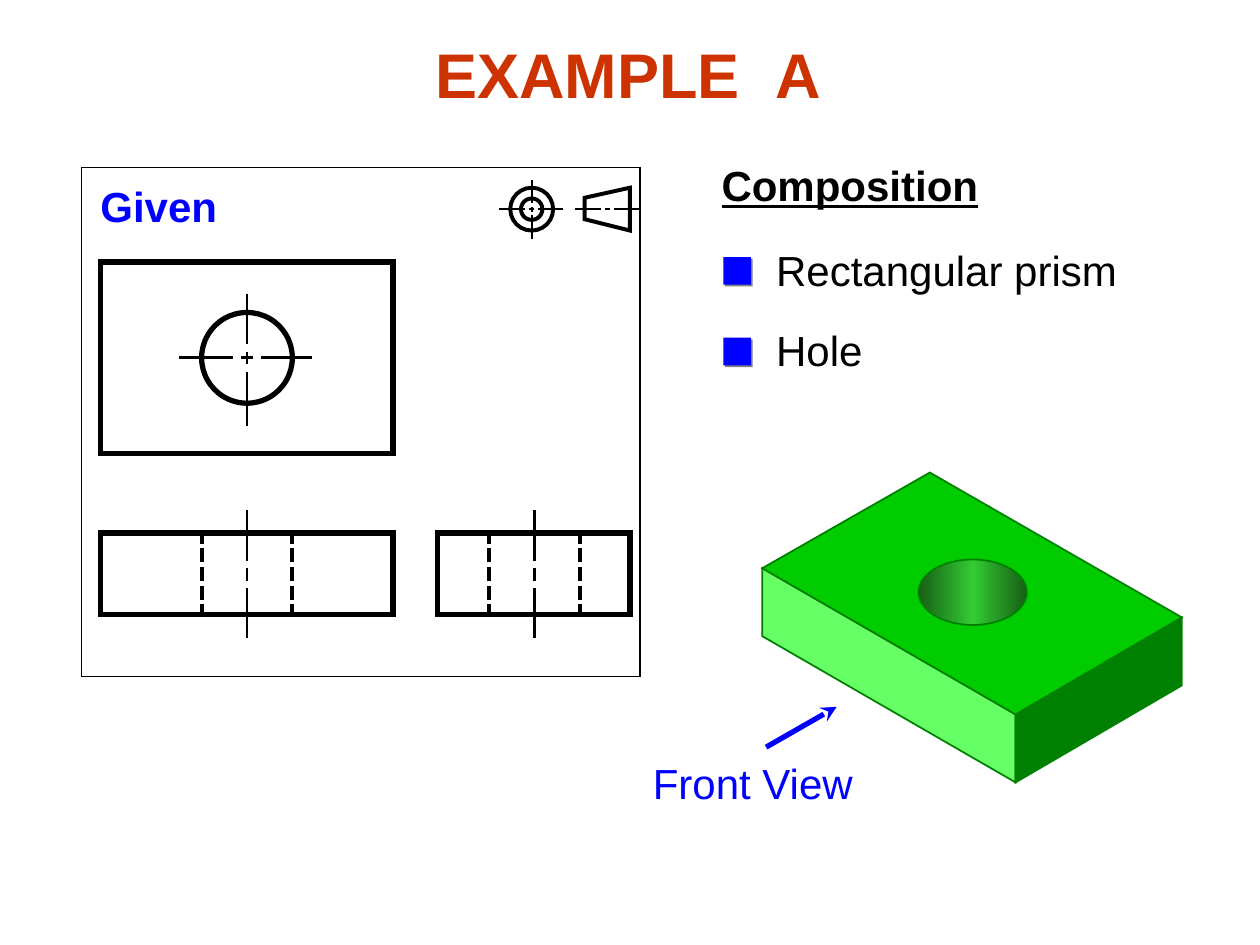
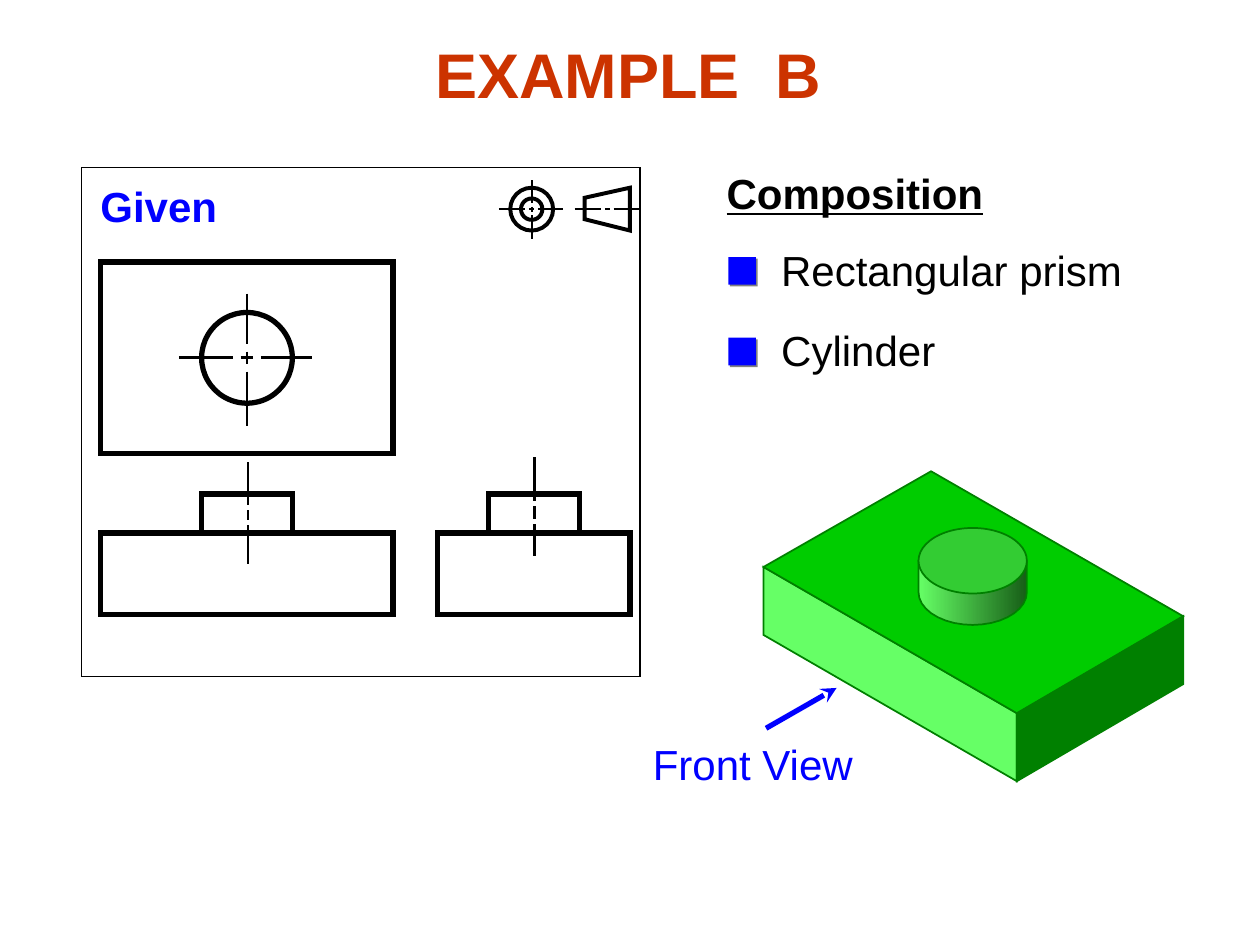
"""Build two slides that compare orthographic views with pictorial solids."""
import dataclasses
import math

import lxml.etree
import pptx
import pptx.dml.color
import pptx.enum.shapes
import pptx.enum.text
import pptx.oxml.ns
import pptx.util

Inches = pptx.util.Inches
Pt = pptx.util.Pt
qn = pptx.oxml.ns.qn
Shape = pptx.enum.shapes.MSO_SHAPE
Align = pptx.enum.text.PP_ALIGN


@dataclasses.dataclass(frozen=True)
class Theme:
    """Colours, type sizes and line weights shared by the slides."""
    font: str = "Arial"
    title_size: int = 36
    text_size: int = 24
    title: str = "CC3300"
    ink: str = "000000"
    accent: str = "0000FF"
    shadow: str = "808080"
    edge: str = "008000"
    top_face: str = "00CC00"
    front_face: str = "66FF66"
    side_face: str = "008000"
    round_mid: str = "33CC33"
    round_dark: str = "175E17"
    frame: float = 0.75
    fine: float = 1
    center: float = 1.5
    hidden: float = 2.25
    outline: float = 3


THEME = Theme()
TOP_VIEW = (0.8, 2.08, 2.32, 1.52)
FRONT_VIEW = (0.8, 4.23, 2.32, 0.65)
SIDE_VIEW = (3.47, 4.23, 1.53, 0.65)
FRONT_AXIS, SIDE_AXIS, TOP_AXIS = 1.96, 4.24, 2.84
RADIUS = 0.36
HIDDEN_DASHES = [(4.22, 4.32), (4.35, 4.46), (4.5, 4.61), (4.65, 4.76), (4.79, 4.89)]


def rgb(color):
    """Return a colour object for a hex string."""
    return pptx.dml.color.RGBColor.from_string(color)


def paint(shape, fill=None, line=None, weight=1):
    """Set the fill and outline of a shape and drop its shadow."""
    shape.shadow.inherit = False
    if fill:
        shape.fill.solid()
        shape.fill.fore_color.rgb = rgb(fill)
    else:
        shape.fill.background()
    if line:
        shape.line.color.rgb = rgb(line)
        shape.line.width = Pt(weight)
        outline = shape._element.spPr.find(qn("a:ln"))
        lxml.etree.SubElement(outline, qn("a:miter"), lim="800000")
    else:
        shape.line.fill.background()
    return shape


def shade(shape, colors):
    """Fill a shape with evenly spaced colours from left to right."""
    shape.fill.gradient()
    shape.fill.gradient_angle = 0
    stops = next(shape._element.spPr.iter(qn("a:gsLst")))
    for stop in list(stops):
        stops.remove(stop)
    for index, color in enumerate(colors):
        position = str(100000 * index // (len(colors) - 1))
        stop = lxml.etree.SubElement(stops, qn("a:gs"), pos=position)
        lxml.etree.SubElement(stop, qn("a:srgbClr"), val=color)


def preset(slide, kind, box, fill=None, line=THEME.ink, weight=THEME.outline):
    """Add a preset shape in a box given in inches."""
    shape = slide.shapes.add_shape(kind, *map(Inches, box))
    return paint(shape, fill, line, weight)


def polygon(slide, points, fill=None, line=THEME.edge, weight=THEME.fine):
    """Add a closed outline through points given in inches."""
    corners = [(Inches(x), Inches(y)) for x, y in points]
    builder = slide.shapes.build_freeform(*corners[0])
    builder.add_line_segments(corners[1:], close=True)
    return paint(builder.convert_to_shape(), fill, line, weight)


def segment(slide, start, end, weight, color=THEME.ink):
    """Add a straight line without a shadow."""
    line = slide.shapes.add_connector(
        pptx.enum.shapes.MSO_CONNECTOR.STRAIGHT, *map(Inches, (*start, *end)))
    line.line.color.rgb = rgb(color)
    line.line.width = Pt(weight)
    lxml.etree.SubElement(line._element.spPr, qn("a:effectLst"))
    return line


def vertical(slide, x, spans, weight=THEME.center):
    """Draw a broken vertical line."""
    for top, bottom in spans:
        segment(slide, (x, top), (x, bottom), weight)


def horizontal(slide, y, spans, weight=THEME.center):
    """Draw a broken horizontal line."""
    for left, right in spans:
        segment(slide, (left, y), (right, y), weight)


def center_spans(start, middle, end, tick=0.05, gap=0.11):
    """Return the long, short and long dashes of a centre line."""
    return [(start, middle - gap), (middle - tick, middle + tick), (middle + gap, end)]


def label(slide, text, box, color=THEME.ink, size=THEME.text_size, bold=False,
          underline=False, align=Align.CENTER):
    """Add one line of text and return its paragraph."""
    frame = slide.shapes.add_textbox(*map(Inches, box)).text_frame
    frame.word_wrap = True
    frame.margin_left = frame.margin_right = 0
    paragraph = frame.paragraphs[0]
    paragraph.add_run().text = text
    paragraph.alignment = align
    font = paragraph.font
    font.name, font.size, font.bold, font.underline = THEME.font, Pt(size), bold, underline
    font.color.rgb = rgb(color)
    return paragraph


def title(slide, letter):
    """Add the slide title with a widened gap before its letter."""
    heading = label(slide, "EXAMPLE", (3.36, 0.23, 3.25, 0.7), THEME.title,
                    THEME.title_size, bold=True)
    gap = heading.add_run()
    gap.text = " "
    gap._r.get_or_add_rPr().set("spc", "1000")
    heading.add_run().text = letter


def projection_symbol(slide):
    """Draw the projection symbol of a ring and a cone."""
    ring_x, cone_x, y = 4.22, 4.82, 1.66
    ring = preset(slide, Shape.DONUT, (4.05, 1.49, 0.34, 0.34), weight=THEME.hidden)
    ring.adjustments[0] = 0.25
    polygon(slide, [(5, 1.49), (5, 1.83), (4.64, 1.74), (4.64, 1.57)],
            line=THEME.ink, weight=THEME.hidden)
    for x in (ring_x, cone_x):
        horizontal(slide, y, center_spans(x - 0.26, x, x + 0.25, 0.02, 0.05), THEME.fine)
    vertical(slide, ring_x, center_spans(y - 0.23, y, y + 0.24, 0.02, 0.05), THEME.fine)


def given_panel(slide):
    """Draw the framed panel and the views common to both examples."""
    preset(slide, Shape.RECTANGLE, (0.65, 1.33, 4.43, 4.04), weight=THEME.frame)
    label(slide, "Given", (0.7, 1.38, 1.12, 0.5), THEME.accent, bold=True)
    projection_symbol(slide)
    for view in (TOP_VIEW, FRONT_VIEW, SIDE_VIEW):
        preset(slide, Shape.RECTANGLE, view)
    preset(slide, Shape.OVAL, (FRONT_AXIS - RADIUS, TOP_AXIS - RADIUS, 2 * RADIUS, 2 * RADIUS))
    horizontal(slide, TOP_AXIS, center_spans(1.42, FRONT_AXIS, 2.48))
    vertical(slide, FRONT_AXIS, center_spans(2.33, TOP_AXIS, 3.38))


def hole_views(slide):
    """Draw the hidden edges and axes of the hole."""
    for axis in (FRONT_AXIS, SIDE_AXIS):
        for edge in (axis - RADIUS, axis + RADIUS):
            vertical(slide, edge, HIDDEN_DASHES, THEME.hidden)
        vertical(slide, axis, center_spans(4.05, 4.56, 5.06))


def cylinder_views(slide):
    """Draw the outlines and axes of the cylinder."""
    for axis in (FRONT_AXIS, SIDE_AXIS):
        preset(slide, Shape.RECTANGLE, (axis - RADIUS, 3.92, 2 * RADIUS, 0.31))
    vertical(slide, FRONT_AXIS + 0.01, center_spans(3.67, 4.09, 4.48, 0.04, 0.08))
    vertical(slide, SIDE_AXIS, center_spans(3.63, 4.07, 4.41, 0.05, 0.09))


def prism(slide, x, y, depth=0.54):
    """Draw the solid block from its left corner."""
    left, back = (x, y), (x + 1.33, y - 0.76)
    right, front = (x + 3.33, y + 0.39), (x + 2.01, y + 1.16)
    for near, far, fill in ((left, front, THEME.front_face), (front, right, THEME.side_face)):
        lower = [(px, py + depth) for px, py in (far, near)]
        polygon(slide, [near, far, *lower], fill)
    polygon(slide, [left, front, right, back], THEME.top_face)


def hole_solid(slide):
    """Draw the shaded hole in the block."""
    hole = preset(slide, Shape.OVAL, (7.29, 4.44, 0.86, 0.52),
                  line=THEME.edge, weight=THEME.fine)
    shade(hole, [THEME.round_dark, THEME.round_mid, THEME.round_dark])


def cylinder_solid(slide):
    """Draw the cylinder standing on the block."""
    x, top, base, half_width, half_height = 7.72, 4.45, 4.7, 0.43, 0.26
    angles = [math.radians(degree) for degree in range(180, -1, -10)]
    rim = [(x + half_width * math.cos(a), base + half_height * math.sin(a)) for a in angles]
    wall = polygon(slide, [(x - half_width, top), *rim, (x + half_width, top)])
    shade(wall, [THEME.front_face, THEME.round_dark])
    preset(slide, Shape.OVAL, (x - half_width, top - half_height, 2 * half_width, 2 * half_height),
           THEME.round_mid, THEME.edge, THEME.fine)


def component(slide, text, x, y, width):
    """Add a shadowed square marker and the name of a component."""
    marker = preset(slide, Shape.RECTANGLE, (x + 0.11, y + 0.15, 0.22, 0.22), THEME.accent, None)
    effects = marker._element.spPr.find(qn("a:effectLst"))
    shadow = lxml.etree.SubElement(effects, qn("a:outerShdw"), blurRad="0",
                                   dist=str(Pt(1.4)), dir="2700000")
    lxml.etree.SubElement(shadow, qn("a:srgbClr"), val=THEME.shadow)
    label(slide, text, (x + 0.53, y, width, 0.5), align=Align.LEFT)


def composition(slide, x, y, feature, feature_width):
    """List the solids that make up the part."""
    label(slide, "Composition", (x, y, 2.23, 0.5), bold=True, underline=True)
    component(slide, "Rectangular prism", x, 1.89, 2.9)
    component(slide, feature, x, 2.53, feature_width)


def front_view_pointer(slide, y):
    """Add the arrow that shows the front viewing direction."""
    arrow = segment(slide, (6.08, y), (6.64, y - 0.32), THEME.outline, THEME.accent)
    outline = arrow._element.spPr.find(qn("a:ln"))
    lxml.etree.SubElement(outline, qn("a:tailEnd"), type="stealth")
    label(slide, "Front View", (5.08, y + 0.03, 1.79, 0.5), THEME.accent)


def add_example(deck, letter):
    """Add a slide with the parts common to both examples."""
    slide = deck.slides.add_slide(deck.slide_layouts[6])
    title(slide, letter)
    given_panel(slide)
    return slide


def main():
    """Build and save the deck."""
    deck = pptx.Presentation()
    deck.slide_width, deck.slide_height = Inches(10), Inches(7.5)

    drilled = add_example(deck, "A")
    hole_views(drilled)
    composition(drilled, 5.63, 1.22, "Hole", 0.88)
    prism(drilled, 6.05, 4.51)
    hole_solid(drilled)
    front_view_pointer(drilled, 5.93)

    bossed = add_example(deck, "B")
    cylinder_views(bossed)
    composition(bossed, 5.67, 1.28, "Cylinder", 1.42)
    prism(bossed, 6.06, 4.5)
    cylinder_solid(bossed)
    front_view_pointer(bossed, 5.78)

    deck.save("out.pptx")


if __name__ == "__main__":
    main()
